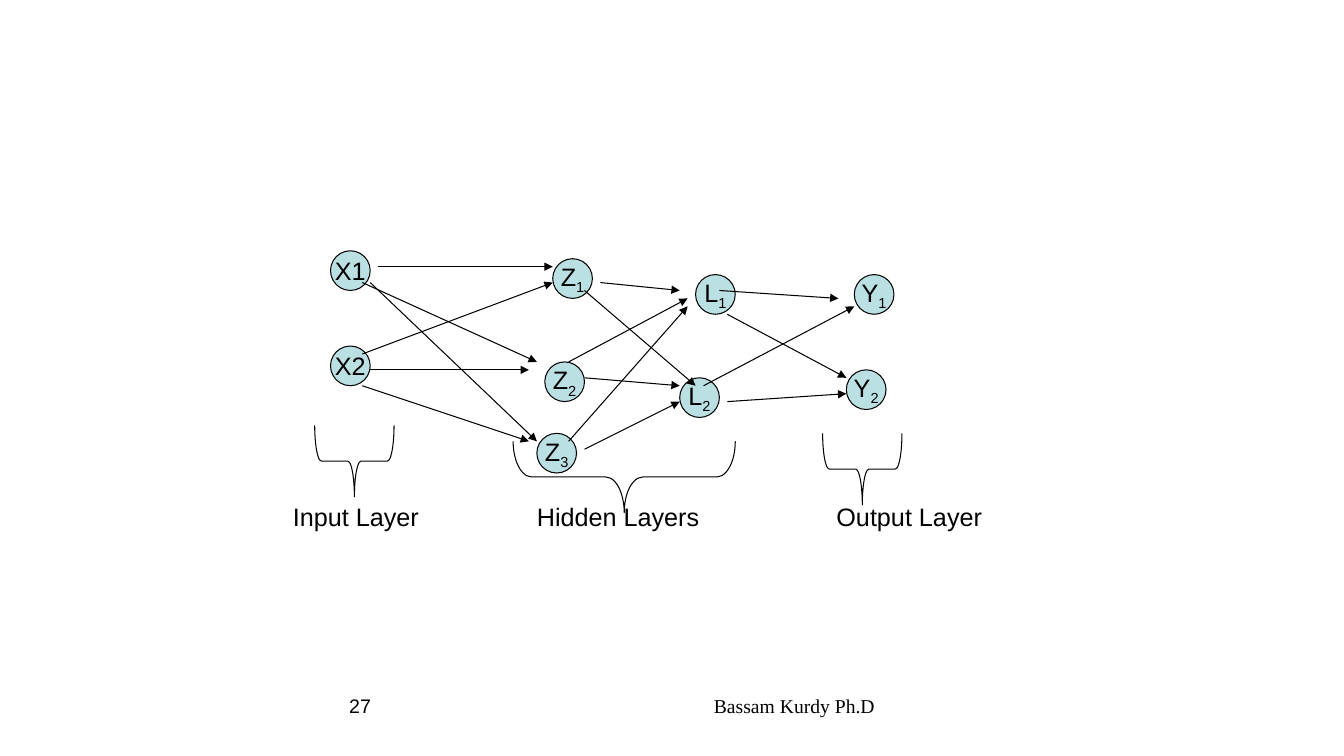
from dataclasses import dataclass

from lxml import etree
from pptx import Presentation
from pptx.dml.color import RGBColor
from pptx.enum.shapes import MSO_CONNECTOR, MSO_SHAPE
from pptx.enum.text import MSO_ANCHOR, PP_ALIGN
from pptx.oxml.ns import qn
from pptx.util import Cm, Pt

OVAL = MSO_SHAPE.OVAL
BRACE = MSO_SHAPE.RIGHT_BRACE
STRAIGHT = MSO_CONNECTOR.STRAIGHT
MIDDLE = MSO_ANCHOR.MIDDLE
CENTER, RIGHT = PP_ALIGN.CENTER, PP_ALIGN.RIGHT


@dataclass(frozen=True)
class Theme:
    ink: RGBColor = RGBColor(0x00, 0x00, 0x00)
    node: RGBColor = RGBColor(0xBB, 0xE0, 0xE3)
    sans: str = "Arial"
    serif: str = "Times New Roman"
    label_size: Pt = Pt(18)
    footer_size: Pt = Pt(14)
    line_width: Pt = Pt(0.75)


THEME = Theme()
NODE_SIZE = 1
BRACE_DEPTH = 1.8

# All lengths are in centimetres; network positions are relative to its box.
NODES = [  # letter, number, is subscript, left, top
    ("X", "1", False, 0, 0), ("X", "2", False, 0, 2.4),
    ("Z", "1", True, 5.6, 0.2), ("Z", "2", True, 5.4, 2.8),
    ("Z", "3", True, 5.2, 4.6),
    ("L", "1", True, 9.2, 0.6), ("L", "2", True, 8.8, 3.2),
    ("Y", "1", True, 13.2, 0.6), ("Y", "2", True, 13, 3),
]
ARROWS = [  # start x, start y, end x, end y
    # input to hidden
    (1.2, 0.4, 5.6, 0.4), (0.8, 0.8, 5.2, 2.8), (1, 0.8, 5.2, 4.8),
    (0.8, 2.6, 5.6, 0.8), (1, 3, 5, 3), (0.8, 3.4, 5, 4.8),
    # hidden to hidden
    (6.8, 0.8, 8.8, 1), (6.4, 1, 9.2, 3.4), (6, 2.8, 9, 1.2),
    (6.4, 3.2, 8.8, 3.4), (6, 4.8, 9, 1.4), (6.4, 5, 8.8, 3.8),
    # hidden to output
    (9.8, 1, 12.8, 1.2), (10, 1.6, 13, 3.2),
    (9.4, 3.4, 13.2, 1.4), (10, 3.8, 13, 3.6),
]
BRACES = [  # left, top, span, curve
    (-0.4, 4.4, 2, 0.093), (4.6, 4.8, 5.6, 0.259), (12.4, 4.6, 2, 0.093),
]
LAYER_NAMES = ["Input Layer", "Hidden Layers", "Output Layer"]
LAYER_TABS = [6.15, 13.7]


def style_font(paragraph, name, size):
    paragraph.font.name = name
    paragraph.font.size = size
    paragraph.font.color.rgb = THEME.ink


def style_line(shape):
    shape.line.color.rgb = THEME.ink
    shape.line.width = THEME.line_width


def add_node(slide, letter, number, is_subscript, left, top):
    shape = slide.shapes.add_shape(
        OVAL, Cm(left), Cm(top), Cm(NODE_SIZE), Cm(NODE_SIZE))
    shape.shadow.inherit = False
    shape.fill.solid()
    shape.fill.fore_color.rgb = THEME.node
    style_line(shape)
    shape.text_frame.word_wrap = False
    shape.text_frame.vertical_anchor = MIDDLE
    paragraph = shape.text_frame.paragraphs[0]
    paragraph.alignment = CENTER
    if is_subscript:
        paragraph.add_run().text = letter
        run = paragraph.add_run()
        run.text = number
        run.font.color.rgb = THEME.ink
        run._r.get_or_add_rPr().set("baseline", "-25000")
    else:
        paragraph.add_run().text = letter + number
    style_font(paragraph, THEME.sans, THEME.label_size)


def add_arrow(slide, start_x, start_y, end_x, end_y):
    connector = slide.shapes.add_connector(
        STRAIGHT, Cm(start_x), Cm(start_y), Cm(end_x), Cm(end_y))
    style_line(connector)
    etree.SubElement(connector.line._get_or_add_ln(), qn("a:tailEnd"),
                     type="triangle")
    etree.SubElement(connector._element.spPr, qn("a:effectLst"))


def add_brace(slide, left, top, span, curve):
    """Turn a right brace by 90 degrees so that it opens upwards."""
    shift = (span - BRACE_DEPTH) / 2
    shape = slide.shapes.add_shape(
        BRACE, Cm(left + shift), Cm(top - shift), Cm(BRACE_DEPTH), Cm(span))
    shape.rotation = 90
    shape.adjustments[0] = curve
    shape.shadow.inherit = False
    shape.fill.background()
    style_line(shape)


def add_text(slide, left, top, width, height, text, font, size,
             alignment=None, tabs=()):
    box = slide.shapes.add_textbox(Cm(left), Cm(top), Cm(width), Cm(height))
    box.text_frame.word_wrap = True
    paragraph = box.text_frame.paragraphs[0]
    paragraph.text = text
    paragraph.alignment = alignment
    if tabs:
        properties = paragraph._p.get_or_add_pPr()
        tab_list = etree.SubElement(properties, qn("a:tabLst"))
        for position in tabs:
            etree.SubElement(tab_list, qn("a:tab"),
                             pos=str(Cm(position)), algn="l")
    style_font(paragraph, font, size)


def add_network(slide, left, top):
    for letter, number, is_subscript, x, y in NODES:
        add_node(slide, letter, number, is_subscript, left + x, top + y)
    for start_x, start_y, end_x, end_y in ARROWS:
        add_arrow(slide, left + start_x, top + start_y,
                  left + end_x, top + end_y)
    for x, y, span, curve in BRACES:
        add_brace(slide, left + x, top + y, span, curve)
    add_text(slide, left - 1.2, top + 6.2, 19.2, 1.02,
             "\t".join(LAYER_NAMES), THEME.sans, THEME.label_size,
             tabs=LAYER_TABS)


def add_footer(slide, left, top, height):
    add_text(slide, left, top, 7.9, height, "27",
             THEME.sans, THEME.footer_size, RIGHT)
    add_text(slide, left + 9.88, top, 10.72, height, "Bassam Kurdy Ph.D",
             THEME.serif, THEME.footer_size, RIGHT)


def main():
    presentation = Presentation()
    presentation.slide_width = Cm(33.87)
    presentation.slide_height = Cm(19.05)
    slide = presentation.slides.add_slide(presentation.slide_layouts[6])
    add_network(slide, 8.33, 6.32)
    add_footer(slide, 1.7, 17.35, 1.32)
    presentation.save("out.pptx")


if __name__ == "__main__":
    main()
